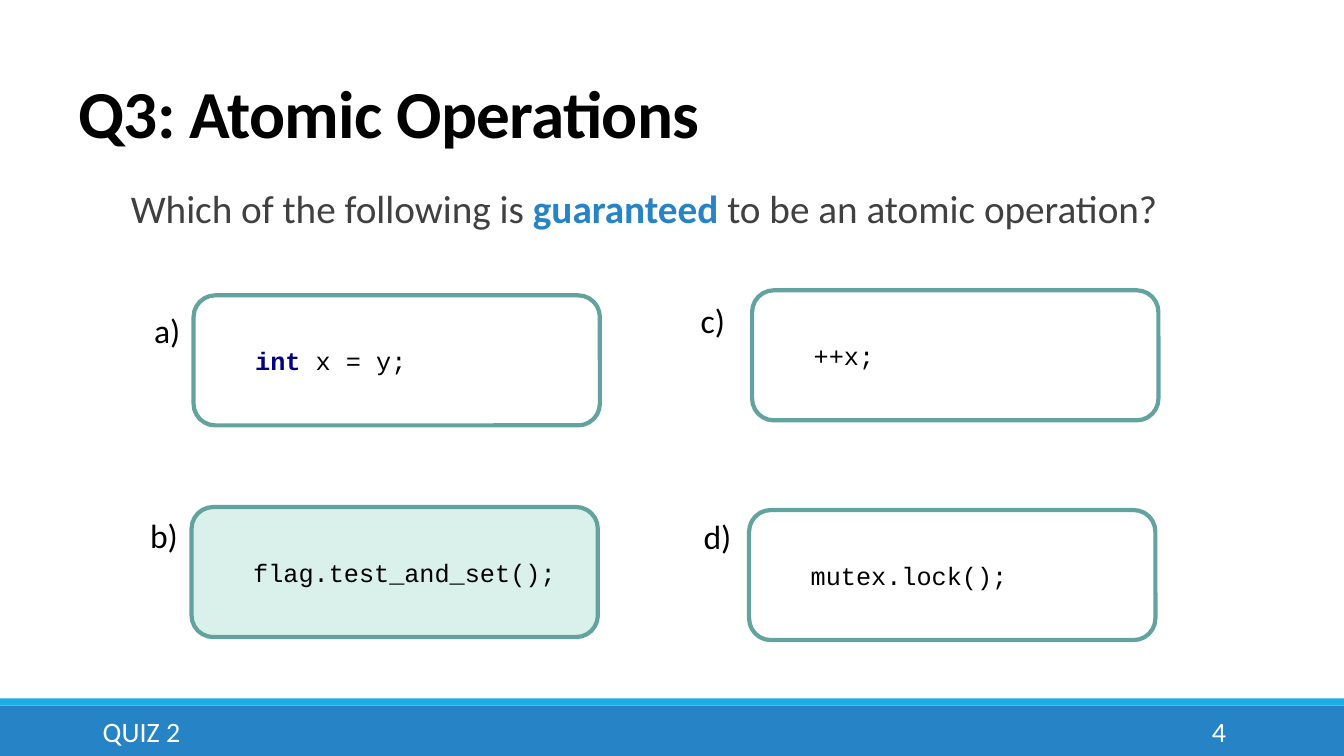
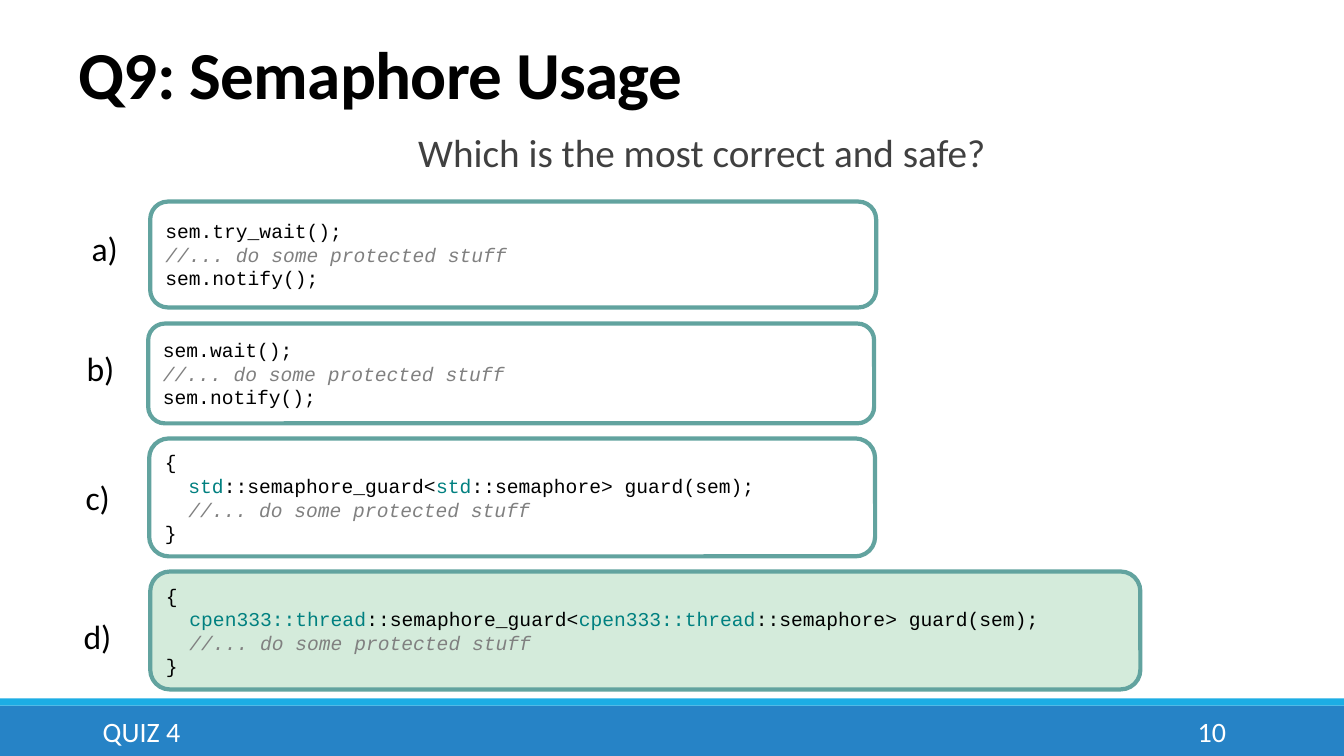
from pptx import Presentation
from pptx.util import Inches, Pt
from pptx.dml.color import RGBColor
from pptx.enum.shapes import MSO_SHAPE
from pptx.enum.text import MSO_ANCHOR, PP_ALIGN

BLACK, WHITE, BODY, BLUE, CYAN = "000000", "FFFFFF", "404040", "2683C6", "1CADE4"
KEYWORD, NAMESPACE, COMMENT = "000080", "008080", "808080"
BORDER, MINT, SAGE = "62A39F", "D9F1EA", "D4EBDB"
SANS, MONO = "Calibri", "Courier New"
MONO_ADVANCE = 0.6
LABEL_SIZE = (0.52, 0.5)


def protected(acquire):
    return [(0, [(acquire, BLACK)]),
            (0, [("//... do some protected stuff", COMMENT)]),
            (0, [("sem.notify();", BLACK)])]


def guarded(namespace):
    return [(0, [("{", BLACK)]),
            (2, [(namespace, NAMESPACE), ("::semaphore_guard<", BLACK),
                 (namespace, NAMESPACE), ("::semaphore> guard(sem);", BLACK)]),
            (2, [("//... do some protected stuff", COMMENT)]),
            (0, [("}", BLACK)])]


def statement(*runs):
    return [(3, runs)]


SLIDES = [
    {
        "title": "Q3: Atomic Operations", "title_top": 0.71,
        "question": [("Which of the following is ", BODY), ("guaranteed ", BLUE),
                     ("to be an atomic operation?", BODY)],
        "question_at": (1.2, 1.83, 11, 0.77),
        "quiz": "QUIZ 2", "number": "4", "code_size": 18,
        "answers": [
            ("a)", (1.43, 3.03), (1.92, 2.93, 4.03, 1.29), WHITE,
             statement(("int ", KEYWORD), ("x = y;", BLACK))),
            ("b)", (1.39, 5.06), (1.9, 5.03, 4.03, 1.29), MINT,
             statement(("flag.test_and_set();", BLACK))),
            ("c)", (6.85, 2.93), (7.46, 2.88, 4.03, 1.29), WHITE,
             statement(("++x;", BLACK))),
            ("d)", (6.88, 5.07), (7.43, 5.06, 4.03, 1.29), WHITE,
             statement(("mutex.lock();", BLACK))),
        ],
    },
    {
        "title": "Q9: Semaphore Usage", "title_top": 0.32,
        "question": [("Which is the most correct and safe?", BODY)],
        "question_at": (4.05, 1.28, 6.03, 0.68),
        "quiz": "QUIZ 4", "number": "10", "code_size": 14,
        "answers": [
            ("a)", (0.81, 2.21), (1.49, 2, 7.2, 1.05), WHITE, protected("sem.try_wait();")),
            ("b)", (0.76, 3.4), (1.47, 3.21, 7.2, 0.99), WHITE, protected("sem.wait();")),
            ("c)", (0.75, 4.68), (1.48, 4.35, 7.2, 1.17), WHITE, guarded("std")),
            ("d)", (0.73, 6.06), (1.49, 5.67, 9.82, 1.17), SAGE, guarded("cpen333::thread")),
        ],
    },
]


def rgb(color):
    return RGBColor.from_string(color)


def add_run(p, text, size, color, font=SANS, bold=False, italic=False):
    r = p.add_run()
    r.text = text
    r.font.name, r.font.size = font, Pt(size)
    r.font.bold, r.font.italic = bold, italic
    r.font.color.rgb = rgb(color)
    return r


def add_box(s, at, kind=MSO_SHAPE.RECTANGLE, fill=WHITE, line=None):
    sp = s.shapes.add_shape(kind, *map(Inches, at))
    sp.shadow.inherit = False
    sp.fill.solid()
    sp.fill.fore_color.rgb = rgb(fill)
    if line:
        sp.line.color.rgb = rgb(line)
        sp.line.width = Pt(3)
    else:
        sp.line.fill.background()
    return sp


def add_text(s, at, anchor=MSO_ANCHOR.TOP, align=PP_ALIGN.LEFT):
    tf = s.shapes.add_textbox(*map(Inches, at)).text_frame
    tf.word_wrap = True
    tf.vertical_anchor = anchor
    p = tf.paragraphs[0]
    p.alignment = align
    return p


def add_frame(s, slide):
    add_box(s, (0, 7, 13.33, 0.5), fill=BLUE)
    add_box(s, (0, 6.93, 13.33, 0.07), fill=CYAN)
    p = add_text(s, (0.68, slide["title_top"], 11, 0.85), MSO_ANCHOR.BOTTOM)
    p.line_spacing = 0.85
    r = add_run(p, slide["title"], 48, BLACK, bold=True)
    r.font._element.set("spc", "-50")
    p = add_text(s, (0.92, 7.06, 8.39, 0.4), MSO_ANCHOR.MIDDLE)
    add_run(p, slide["quiz"], 20, WHITE)
    p = add_text(s, (10.83, 7.06, 1.43, 0.4), MSO_ANCHOR.MIDDLE, PP_ALIGN.RIGHT)
    add_run(p, slide["number"], 20, WHITE)


def add_question(s, slide):
    p = add_text(s, slide["question_at"])
    p.line_spacing = 0.9
    for text, color in slide["question"]:
        add_run(p, text, 28, color, bold=color == BLUE)


def add_answer(s, size, label, label_at, box_at, fill, code):
    add_run(add_text(s, label_at + LABEL_SIZE), label, 24, BLACK)
    tf = add_box(s, box_at, MSO_SHAPE.ROUNDED_RECTANGLE, fill, BORDER).text_frame
    tf.word_wrap = True
    tf.vertical_anchor = MSO_ANCHOR.MIDDLE
    for i, (indent, runs) in enumerate(code):
        p = tf.add_paragraph() if i else tf.paragraphs[0]
        p.alignment = PP_ALIGN.LEFT
        p._p.get_or_add_pPr().set("marL", str(Pt(indent * MONO_ADVANCE * size)))
        for text, color in runs:
            add_run(p, text, size, color, MONO, color == KEYWORD, color == COMMENT)


prs = Presentation()
prs.slide_width, prs.slide_height = Inches(13.33), Inches(7.5)
for slide in SLIDES:
    s = prs.slides.add_slide(prs.slide_layouts[6])
    add_frame(s, slide)
    add_question(s, slide)
    for answer in slide["answers"]:
        add_answer(s, slide["code_size"], *answer)
prs.save("out.pptx")
